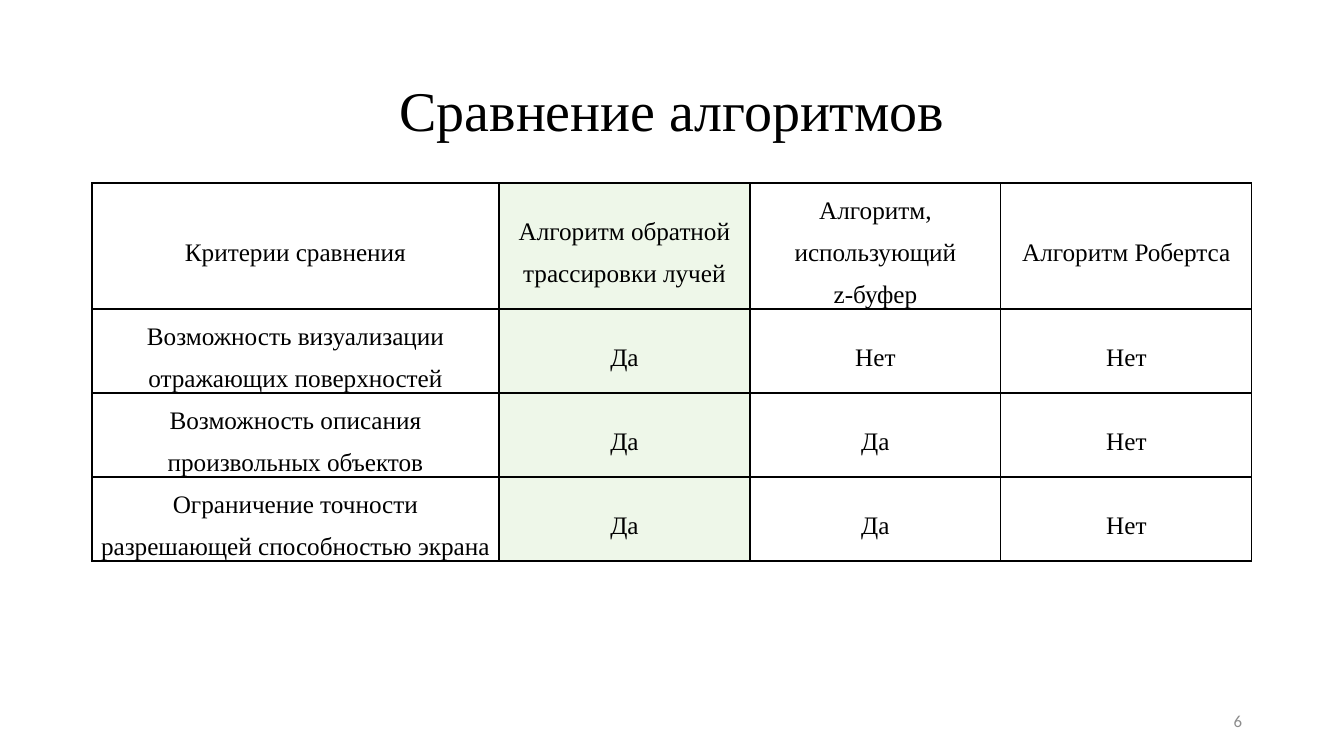
import lxml.etree
import pptx
import pptx.dml.color
import pptx.enum.text
import pptx.oxml.ns
import pptx.util

BLACK = pptx.dml.color.RGBColor(0x00, 0x00, 0x00)
GREY = pptx.dml.color.RGBColor(0x8C, 0x8C, 0x8C)
PALE_GREEN = pptx.dml.color.RGBColor(0xEE, 0xF7, 0xE9)

ALIGN = pptx.enum.text.PP_ALIGN
MIDDLE = pptx.enum.text.MSO_ANCHOR.MIDDLE

PAGE_SIZE = (1344, 756)
COLUMN_WIDTHS = (407, 251, 251, 251)
ROW_HEIGHTS = (126, 84, 84, 84)
CHOSEN_COLUMN = 1
COMPARISON = (
    ("Критерии сравнения", "Алгоритм обратной трассировки лучей",
     "Алгоритм, использующий\nz-буфер", "Алгоритм Робертса"),
    ("Возможность визуализации отражающих поверхностей", "Да", "Нет", "Нет"),
    ("Возможность описания произвольных объектов", "Да", "Да", "Нет"),
    ("Ограничение точности разрешающей способностью экрана", "Да", "Да", "Нет"),
)


def px(length):
    """Turn pixels into EMU; 1344 px span the 13.33 inch page."""
    return pptx.util.Emu(round(length * 12192000 / 1344))


class PageBuilder:
    body_font = "Times New Roman"
    number_font = "Calibri"

    def __init__(self, deck):
        self.page = deck.slides.add_slide(deck.slide_layouts[5])

    def set_text(self, frame, text, size, font=body_font, color=BLACK,
                 align=ALIGN.CENTER, spacing=1.0):
        frame.text = text
        frame.word_wrap = True
        for para in frame.paragraphs:
            para.alignment = align
            para.line_spacing = spacing
            for span in para.runs:
                span.font.name = font
                span.font.size = pptx.util.Pt(size)
                span.font.color.rgb = color

    def title(self, text, left, top, width, height):
        box = self.page.shapes.title
        box.left, box.top, box.width, box.height = map(px, (left, top, width, height))
        self.set_text(box.text_frame, text, 40, spacing=0.9)
        box.text_frame.auto_size = pptx.enum.text.MSO_AUTO_SIZE.NONE
        box.text_frame.vertical_anchor = MIDDLE

    def page_number(self, text, left, top, width, height):
        box = self.page.shapes.add_textbox(*map(px, (left, top, width, height)))
        self.set_text(box.text_frame, text, 12, self.number_font, GREY, ALIGN.RIGHT)
        box.text_frame.vertical_anchor = MIDDLE

    def border(self, cell):
        """Draw a thin black line on all four sides of a cell."""
        properties = cell._tc.get_or_add_tcPr()
        qn = pptx.oxml.ns.qn
        for side in ("a:lnL", "a:lnR", "a:lnT", "a:lnB"):
            line = lxml.etree.SubElement(properties, qn(side), w=str(pptx.util.Pt(1)))
            fill = lxml.etree.SubElement(line, qn("a:solidFill"))
            lxml.etree.SubElement(fill, qn("a:srgbClr"), val=str(BLACK))

    def table(self, rows, left, top):
        size = (sum(COLUMN_WIDTHS), sum(ROW_HEIGHTS))
        table = self.page.shapes.add_table(
            len(rows), len(COLUMN_WIDTHS), *map(px, (left, top, *size))).table
        table.first_row = table.horz_banding = False
        for column, width in zip(table.columns, COLUMN_WIDTHS):
            column.width = px(width)
        for row, height, texts in zip(table.rows, ROW_HEIGHTS, rows):
            row.height = px(height)
            for index, (cell, text) in enumerate(zip(row.cells, texts)):
                self.fill_cell(cell, text, index == CHOSEN_COLUMN)

    def fill_cell(self, cell, text, chosen):
        self.set_text(cell.text_frame, text, 18, spacing=1.5)
        cell.vertical_anchor = MIDDLE
        cell.margin_left = cell.margin_right = px(7)
        cell.margin_top = cell.margin_bottom = 0
        self.border(cell)
        if chosen:
            cell.fill.solid()
            cell.fill.fore_color.rgb = PALE_GREEN
        else:
            cell.fill.background()


def main():
    deck = pptx.Presentation()
    deck.slide_width, deck.slide_height = map(px, PAGE_SIZE)
    builder = PageBuilder(deck)
    builder.title("Сравнение алгоритмов", 92, 40, 1160, 146)
    builder.table(COMPARISON, 92, 183)
    builder.page_number("6", 950, 701, 302, 40)
    deck.save("out.pptx")


if __name__ == "__main__":
    main()
